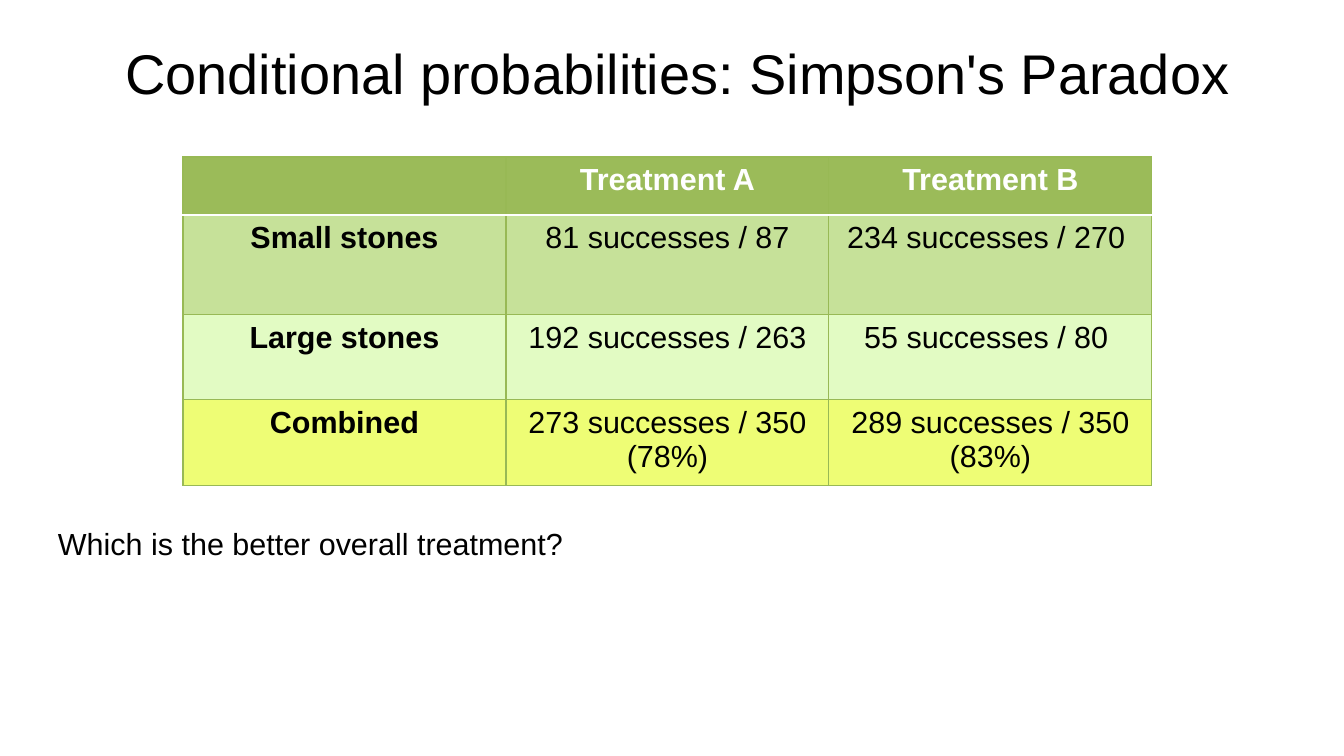
from lxml import etree
from pptx import Presentation
from pptx.dml.color import RGBColor
from pptx.enum.text import MSO_ANCHOR, PP_ALIGN
from pptx.oxml.ns import qn
from pptx.util import Pt

LEFT, CENTER = PP_ALIGN.LEFT, PP_ALIGN.CENTER
TOP, MIDDLE = MSO_ANCHOR.TOP, MSO_ANCHOR.MIDDLE

BLACK = RGBColor(0x00, 0x00, 0x00)
WHITE = RGBColor(0xFF, 0xFF, 0xFF)
HEADER_GREEN = RGBColor(0x9B, 0xBB, 0x59)
GRID_GREEN = RGBColor(0x98, 0xB9, 0x55)
SMALL_GREEN = RGBColor(0xC6, 0xE1, 0x99)
LARGE_GREEN = RGBColor(0xE2, 0xFB, 0xC3)
COMBINED_YELLOW = RGBColor(0xEE, 0xFD, 0x75)

FONT = "Arial"
EMU_PER_PX = 7495
COLUMN_WIDTH = 323

OUTCOMES = [
    (58, HEADER_GREEN, ["", "Treatment A", "Treatment B"]),
    (100, SMALL_GREEN, ["Small stones", "81 successes / 87", "234 successes / 270 "]),
    (85, LARGE_GREEN, ["Large stones", "192 successes / 263", "55 successes / 80 "]),
    (86, COMBINED_YELLOW,
     ["Combined", "273 successes / 350 (78%)", "289 successes / 350\n(83%)"]),
]


def px(length):
    return length * EMU_PER_PX


def write_text(frame, text, size=18, color=BLACK, bold=False, align=LEFT):
    frame.word_wrap = True
    frame.text = text
    for paragraph in frame.paragraphs:
        paragraph.alignment = align
        paragraph.font.size = Pt(size)
        for run in paragraph.runs:
            run.font.name = FONT
            run.font.size = Pt(size)
            run.font.bold = bold
            run.font.color.rgb = color


def add_text(slide, left, top, width, height, text, anchor=TOP, inset=None, **text_format):
    frame = slide.shapes.add_textbox(px(left), px(top), px(width), px(height)).text_frame
    frame.vertical_anchor = anchor
    if inset is not None:
        frame.margin_left = frame.margin_right = px(inset)
        frame.margin_top = frame.margin_bottom = px(inset)
    write_text(frame, text, **text_format)


def add_border(cell, side, color, width):
    properties = cell._tc.get_or_add_tcPr()
    line = etree.SubElement(properties, qn(f"a:ln{side}"), w=str(Pt(width)))
    fill = etree.SubElement(line, qn("a:solidFill"))
    etree.SubElement(fill, qn("a:srgbClr"), val=str(color))


def style_cell(cell, fill_color, is_header, is_below_header):
    rules = {side: (GRID_GREEN, 0.75) for side in "LRTB"}
    if is_header:
        rules["B"] = (WHITE, 2)
    if is_below_header:
        rules["T"] = (WHITE, 2)
    for side, (color, width) in rules.items():
        add_border(cell, side, color, width)
    cell.fill.solid()
    cell.fill.fore_color.rgb = fill_color


def add_outcome_table(slide, left, top):
    column_count = len(OUTCOMES[0][2])
    total_height = sum(height for height, _, _ in OUTCOMES)
    table = slide.shapes.add_table(
        len(OUTCOMES), column_count, px(left), px(top),
        px(COLUMN_WIDTH * column_count), px(total_height)).table
    for column in table.columns:
        column.width = px(COLUMN_WIDTH)
    for row_index, (height, fill_color, labels) in enumerate(OUTCOMES):
        table.rows[row_index].height = px(height)
        is_header = row_index == 0
        for column_index, label in enumerate(labels):
            cell = table.cell(row_index, column_index)
            style_cell(cell, fill_color, is_header, row_index == 1)
            write_text(cell.text_frame, label, align=CENTER,
                       color=WHITE if is_header else BLACK,
                       bold=is_header or column_index == 0)


def main():
    presentation = Presentation()
    presentation.slide_width = px(1344)
    presentation.slide_height = px(756)
    slide = presentation.slides.add_slide(presentation.slide_layouts[6])
    add_text(slide, 39, 29, 1277, 87, "Conditional probabilities: Simpson's Paradox",
             anchor=MIDDLE, inset=0, size=33, align=CENTER)
    add_text(slide, 46, 519, 1252, 87, "Which is the better overall treatment?")
    add_outcome_table(slide, 183, 157)
    presentation.save("out.pptx")


if __name__ == "__main__":
    main()
